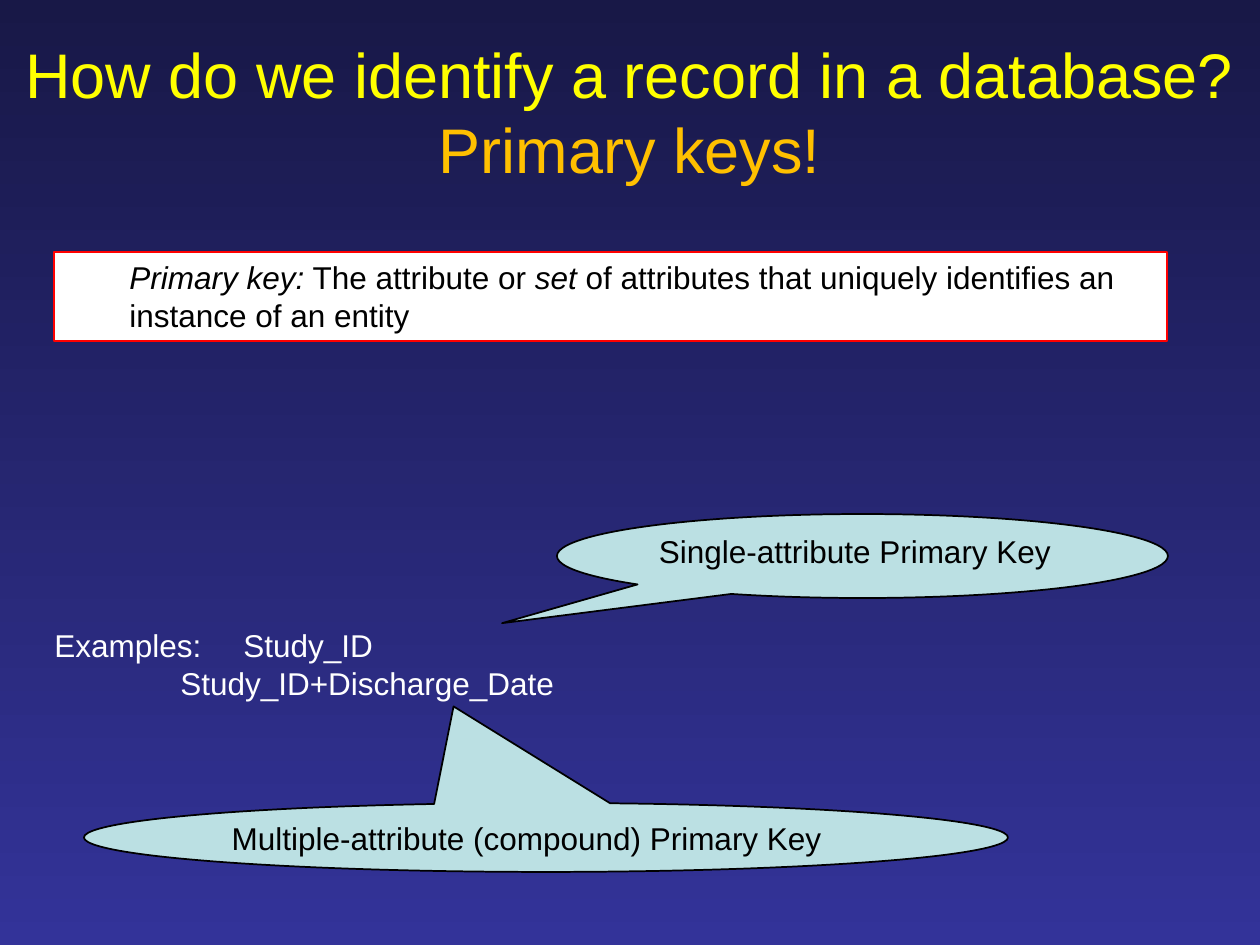
from dataclasses import dataclass

from pptx import Presentation
from pptx.dml.color import RGBColor
from pptx.enum.shapes import MSO_SHAPE as Preset
from pptx.enum.text import MSO_ANCHOR as Anchor, MSO_AUTO_SIZE as AutoSize, PP_ALIGN as Align
from pptx.util import Emu, Pt

EMU_PER_PX = 914400 / 126


@dataclass(frozen=True)
class Theme:
    font: str = "Arial"
    title_size: int = 36
    body_size: int = 18
    backdrop_top: str = "181847"
    backdrop_bottom: str = "333399"
    title: str = "FFFF00"
    answer: str = "FFC000"
    light: str = "FFFFFF"
    dark: str = "000000"
    border: str = "FF0000"
    callout: str = "BBE0E3"


@dataclass(frozen=True)
class Area:
    left: int
    top: int
    width: int
    height: int

    def emu(self) -> list[Emu]:
        return [px(n) for n in (self.left, self.top, self.width, self.height)]


@dataclass(frozen=True)
class Callout:
    text: str
    area: Area
    tip: tuple[float, float]  # offset from the centre, as a share of the size


THEME = Theme()
CALLOUTS = (
    Callout("Single-attribute Primary Key", Area(557, 514, 611, 84), (-0.59, 0.8)),
    Callout("Multiple-attribute (compound) Primary Key", Area(84, 803, 924, 69), (-0.1, -1.9)),
)
DEFINITION = (
    ("Primary key:", True),
    (" The attribute or ", False),
    ("set", True),
    (" of attributes that uniquely identifies an instance of an entity", False),
)
EXAMPLES = ("Examples: \tStudy_ID", "\t\tStudy_ID+Discharge_Date")


def px(count: int) -> Emu:
    return Emu(round(count * EMU_PER_PX))


def rgb(value: str) -> RGBColor:
    return RGBColor.from_string(value)


def style(font, size: int, color: str) -> None:
    font.name = THEME.font
    font.size = Pt(size)
    font.color.rgb = rgb(color)


def paint_backdrop(slide) -> None:
    fill = slide.background.fill
    fill.gradient()
    fill.gradient_angle = 270
    colors = (THEME.backdrop_top, THEME.backdrop_bottom)
    for stop, color in zip(fill.gradient_stops, colors):
        stop.color.rgb = rgb(color)


def set_title(slide, question: str, answer: str, area: Area) -> None:
    title = slide.shapes.title
    title.left, title.top, title.width, title.height = area.emu()
    frame = title.text_frame
    frame.auto_size = AutoSize.NONE
    frame.vertical_anchor = Anchor.MIDDLE
    para = frame.paragraphs[0]
    para.alignment = Align.CENTER
    style(para.font, THEME.title_size, THEME.title)
    for text, color in ((question, THEME.title), (answer, THEME.answer)):
        if para.runs:
            para.add_line_break()
        span = para.add_run()
        span.text = text
        style(span.font, THEME.title_size, color)


def add_panel(slide, preset: Preset, area: Area, fill: str, line: str, weight: float):
    """Add a filled shape whose text starts at the top left."""
    panel = slide.shapes.add_shape(preset, *area.emu())
    panel.shadow.inherit = False
    panel.fill.solid()
    panel.fill.fore_color.rgb = rgb(fill)
    panel.line.color.rgb = rgb(line)
    panel.line.width = Pt(weight)
    panel.text_frame.word_wrap = True
    panel.text_frame.vertical_anchor = Anchor.TOP
    para = panel.text_frame.paragraphs[0]
    para.alignment = Align.LEFT
    style(para.font, THEME.body_size, THEME.dark)
    return panel


def add_definition(slide, area: Area) -> None:
    panel = add_panel(slide, Preset.RECTANGLE, area, THEME.light, THEME.border, 0.75)
    para = panel.text_frame.paragraphs[0]
    para.level = 1
    properties = para._p.get_or_add_pPr()
    properties.set("marL", str(px(63)))
    properties.set("indent", "0")
    for text, italic in DEFINITION:
        span = para.add_run()
        span.text = text
        span.font.italic = italic


def add_examples(slide, area: Area) -> None:
    box = slide.shapes.add_textbox(*area.emu())
    frame = box.text_frame
    frame.word_wrap = False
    frame.text = "\n".join(EXAMPLES)
    for para in frame.paragraphs:
        style(para.font, THEME.body_size, THEME.light)


def add_callout(slide, callout: Callout) -> None:
    bubble = add_panel(slide, Preset.OVAL_CALLOUT, callout.area, THEME.callout, THEME.dark, 1)
    for index, offset in enumerate(callout.tip):
        bubble.adjustments[index] = offset
    bubble.text_frame.paragraphs[0].add_run().text = callout.text


def main() -> None:
    deck = Presentation()
    deck.slide_width, deck.slide_height = px(1260), px(945)
    page = deck.slides.add_slide(deck.slide_layouts[5])  # title only
    paint_backdrop(page)

    # Question and its answer
    set_title(page, "How do we identify a record in a database?", "Primary keys!",
              Area(10, 32, 1239, 158))

    # Definition, then examples with their callouts
    add_definition(page, Area(54, 252, 1113, 89))
    add_examples(page, Area(42, 620, 658, 89))
    for callout in CALLOUTS:
        add_callout(page, callout)

    deck.save("out.pptx")


if __name__ == "__main__":
    main()
